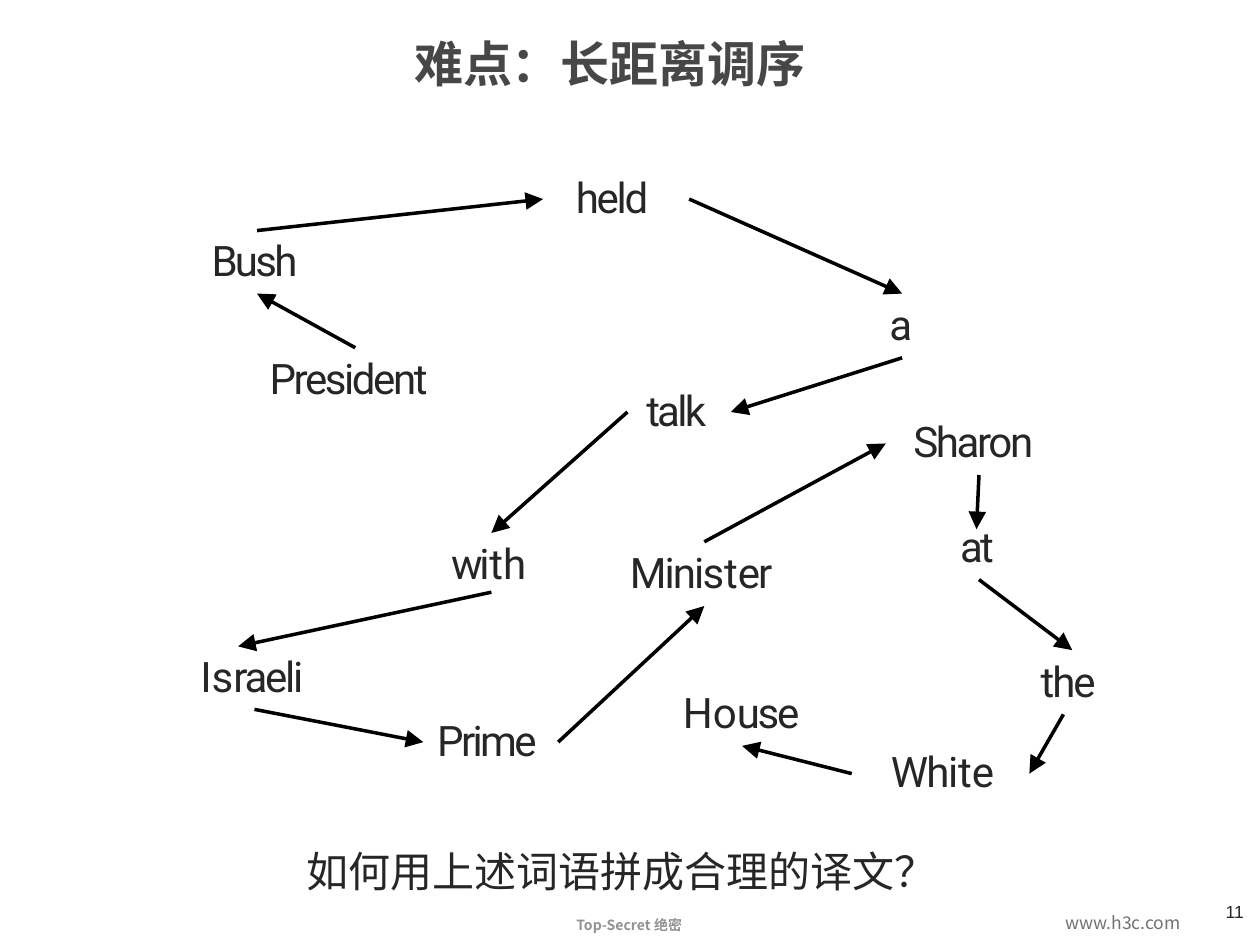
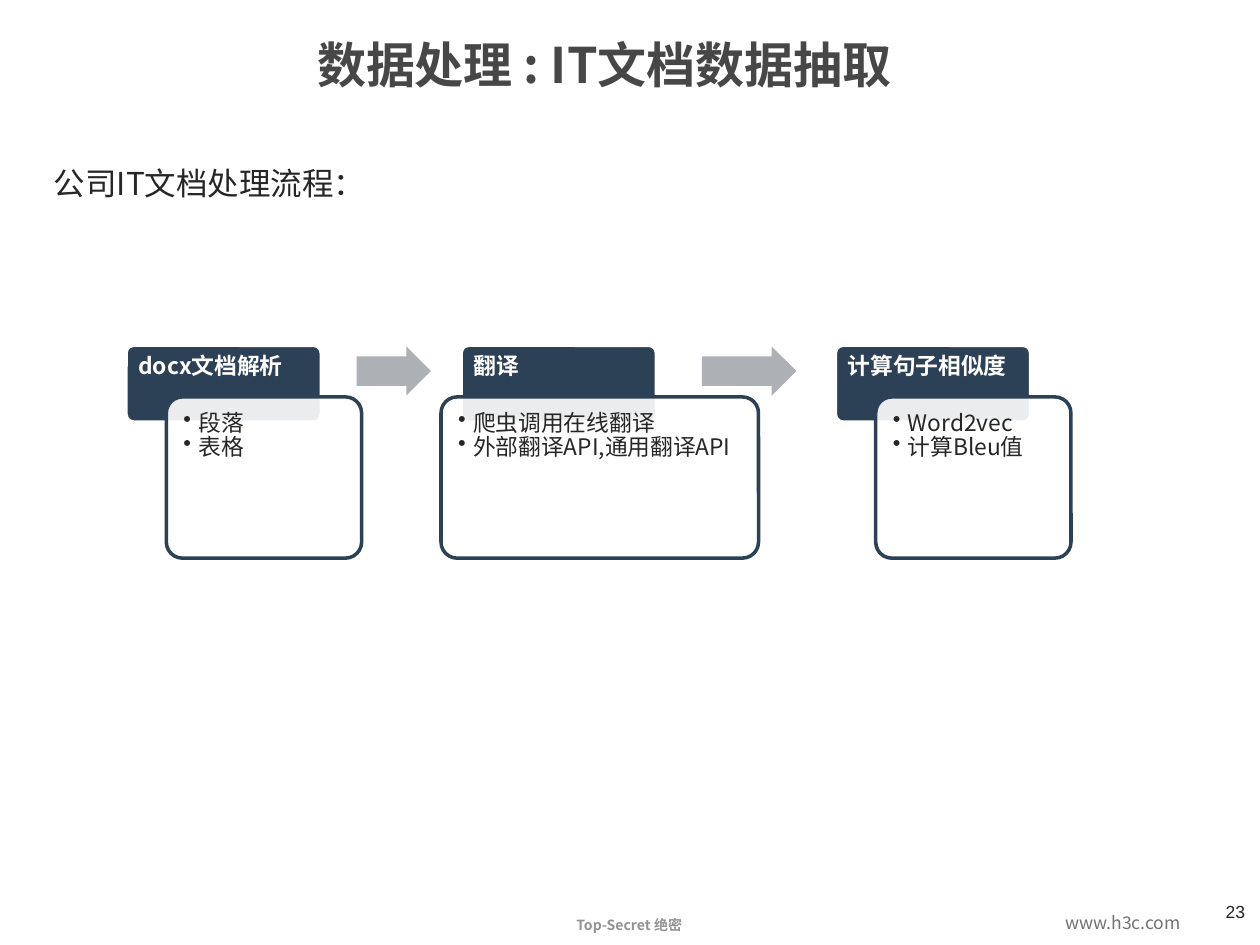
from itertools import pairwise
from lxml.etree import SubElement
from pptx import Presentation
from pptx.dml.color import RGBColor
from pptx.enum.shapes import MSO_CONNECTOR as LINE, MSO_SHAPE as SHAPE
from pptx.enum.text import MSO_ANCHOR as ANCHOR, PP_ALIGN as ALIGN
from pptx.oxml.ns import qn
from pptx.util import Inches, Pt

# The slide is a grid of 100 columns by 75 rows; boxes are (left, top, width, height).
WIDE, HIGH = Inches(10), Inches(7.5)
COL, ROW = WIDE // 100, HIGH // 75

INK = RGBColor(0x26, 0x26, 0x26)
HEAD = RGBColor(0x47, 0x47, 0x47)
MUTED = RGBColor(0x72, 0x72, 0x72)
FAINT = RGBColor(0x92, 0x92, 0x92)
NAVY = RGBColor(0x2C, 0x41, 0x55)
STEEL = RGBColor(0xAD, 0xB0, 0xB4)
WHITE = RGBColor(0xFF, 0xFF, 0xFF)
BLACK = RGBColor(0, 0, 0)

SANS, KANJI, LATIN, PLAIN = "Noto Sans CJK SC", "Noto Sans CJK JP", "Roboto", "Arial"
PAD = (0.1, 0.05, 0.1, 0.05)
TIGHT = (0, 0.02, 0, 0)

# Each word: pieces with tracking, place, where an arrow arrives, where one leaves.
WORDS = [
    ([("President", -1.4)], (6.4, 14.8), None, (13.2, 14.6)),
    ([("Bush", -1.6)], (1.8, 5.4), (5.4, 10.3), (5.4, 5.3)),
    ([("held", -1.3)], (30.7, 0.4), (28.1, 2.8), (39.7, 2.8)),
    ([("a", -1.6)], (55.6, 10.5), (56.6, 10.3), (56.6, 15.4)),
    ([("talk", -1.6)], (36.3, 17.3), (43, 19.7), (34.8, 19.7)),
    ([("wi", -1.9), ("t", -1.3), ("h", -1.4)], (20.8, 29.5), (24, 29.3), (24, 34)),
    ([("I", -1.1), ("s", -1.7), ("raeli", -1.3)], (0.9, 38.4), (3.9, 38.3), (5.2, 43.3)),
    ([("Prime", -1.5)], (19.7, 43.5), (18.6, 45.9), (29.3, 45.9)),
    ([("Minis", -1.1), ("t", -0.8), ("er", -1.1)], (35, 30.2), (40.9, 35.1), (40.9, 30)),
    ([("Sharon", -1.4)], (57.5, 19.8), (55.3, 22.2), (62.7, 24.7)),
    ([("at", -1.6)], (61.2, 28.1), (62.5, 29), (62.7, 33)),
    ([("the", -1.2)], (67.6, 38.8), (70.1, 38.6), (69.4, 43.7)),
    ([("Whi", -0.9), ("t", -0.6), ("e", -1)], (55.7, 46), (66.7, 48.4), (52.6, 48.4)),
    ([("H", -0.9), ("o", -0.7), ("use", -1.3)], (39.2, 41.3), (43.9, 46.2), None),
]


def grid(box):
    left, top, width, height = box
    return round(left * COL), round(top * ROW), round(width * COL), round(height * ROW)


def write(shape, *lines, size=24, font=SANS, color=INK, bold=False, align=ALIGN.LEFT,
          anchor=ANCHOR.TOP, inset=TIGHT, wrap=True, spacing=None, after=0, dots=False):
    """Fill a shape with lines, each a string or a list of (piece, tracking)."""
    frame = shape.text_frame
    frame.word_wrap, frame.vertical_anchor = wrap, anchor
    (frame.margin_left, frame.margin_top,
     frame.margin_right, frame.margin_bottom) = map(Inches, inset)
    for i, line in enumerate(lines):
        para = frame.add_paragraph() if i else frame.paragraphs[0]
        para.alignment, para.line_spacing, para.space_after = align, spacing, Pt(after)
        if dots:
            props = para._p.get_or_add_pPr()
            props.set("marL", str(Inches(0.12)))
            props.set("indent", str(-Inches(0.12)))
            SubElement(props, qn("a:buChar")).set("char", "•")
        for piece, track in [(line, 0)] if isinstance(line, str) else line:
            run = para.add_run()
            run.text = piece
            run.font.size, run.font.bold, run.font.name = Pt(size), bold, font
            run.font.color.rgb = color
            props = run._r.get_or_add_rPr()
            SubElement(props, qn("a:ea")).set("typeface", font)
            if track:
                props.set("spc", str(round(track * 100)))


def label(slide, box, *lines, **style):
    write(slide.shapes.add_textbox(*grid(box)), *lines, **style)


def block(slide, kind, box, fill, edge=None, adjust=(), alpha=None):
    shape = slide.shapes.add_shape(kind, *grid(box))
    shape.shadow.inherit = False
    shape.fill.solid()
    shape.fill.fore_color.rgb = fill
    if alpha:
        tint = shape.fill._xPr.find(qn("a:solidFill"))[0]
        SubElement(tint, qn("a:alpha")).set("val", str(alpha * 1000))
    if edge is None:
        shape.line.fill.background()
    else:
        shape.line.color.rgb, shape.line.width = edge, Pt(2)
    for i, value in enumerate(adjust):
        shape.adjustments[i] = value
    return shape


def arrow(slide, start, end):
    spots = grid((*start, *end))
    link = slide.shapes.add_connector(LINE.STRAIGHT, *spots)
    link.line.color.rgb, link.line.width = BLACK, Pt(2)
    tip = SubElement(link.line._get_or_add_ln(), qn("a:tailEnd"))
    for key, value in (("type", "triangle"), ("w", "lg"), ("len", "lg")):
        tip.set(key, value)
    SubElement(link._element.spPr, qn("a:effectLst"))


def base(deck, title, box, number):
    """Add a slide with its title and footer."""
    slide = deck.slides.add_slide(deck.slide_layouts[6])
    label(slide, (40.3, 72.2, 19.3, 2.4), "Top-Secret 绝密", size=8, color=FAINT, bold=True,
          align=ALIGN.CENTER, anchor=ANCHOR.MIDDLE, inset=PAD)
    label(slide, (83.6, 71.9, 11.3, 2.7), "www.h3c.com", size=10, color=MUTED,
          anchor=ANCHOR.MIDDLE, inset=PAD, wrap=False)
    label(slide, (96.3, 71, 3.7, 2.7), str(number), size=10, font=PLAIN, inset=PAD, wrap=False)
    label(slide, box, title, size=28, color=HEAD, bold=True, align=ALIGN.CENTER,
          anchor=ANCHOR.MIDDLE)
    return slide


def web(slide, left, top):
    """Scatter the words and join each to the next."""
    def move(spot):
        return left + spot[0], top + spot[1]

    for pieces, spot, *_ in WORDS:
        label(slide, (*move(spot), 15, 4.3), pieces, font=LATIN)
    for (*_, leave), (_, _, reach, _) in pairwise(WORDS):
        arrow(slide, move(leave), move(reach))


def card(slide, left, top, name, items, shift=3.2, width=15.5):
    """Draw a step: a dark tab with a list panel over its lower edge."""
    tab = block(slide, SHAPE.ROUNDED_RECTANGLE, (left, top, 15.5, 6.1), NAVY, WHITE, [0.1])
    write(tab, name, size=13, color=WHITE, bold=True, inset=(0.08, 0.08, 0.08, 0.05),
          spacing=0.78)
    panel = block(slide, SHAPE.ROUNDED_RECTANGLE, (left + shift, top + 4.1, width, 12.8),
                  WHITE, NAVY, [0.1], alpha=90)
    write(panel, *items, size=13, inset=(0.1,) * 4, spacing=0.78, after=1.8, dots=True)


def flow(slide, left, top):
    card(slide, left, top, "docx文档解析", ["段落", "表格"])
    card(slide, left + 26.6, top, "翻译", ["爬虫调用在线翻译", "外部翻译API,通用翻译API"],
         shift=-1.6, width=25.2)
    card(slide, left + 56.3, top, "计算句子相似度", ["Word2vec", "计算Bleu值"])
    for step, width in ((18.3, 5.9), (45.7, 7.5)):
        block(slide, SHAPE.RIGHT_ARROW, (left + step, top + 0.1, width, 3.9), STEEL,
              adjust=[0.6, 0.5])


def main():
    deck = Presentation()
    deck.slide_width, deck.slide_height = WIDE, HIGH

    order = base(deck, "难点：长距离调序", (23.8, 1.1, 49.2, 7.6), 11)
    web(order, 15, 13)
    label(order, (24.3, 66.9, 50.5, 4.3), "如何用上述词语拼成合理的译文？", font=KANJI)

    data = base(deck, "数据处理 : IT文档数据抽取", (14.2, 2.5, 67.5, 4.9), 23)
    flow(data, 10, 27.4)
    label(data, (3.3, 12.5, 30, 4), "公司IT文档处理流程：", size=18, inset=PAD)

    deck.save("out.pptx")


if __name__ == "__main__":
    main()
